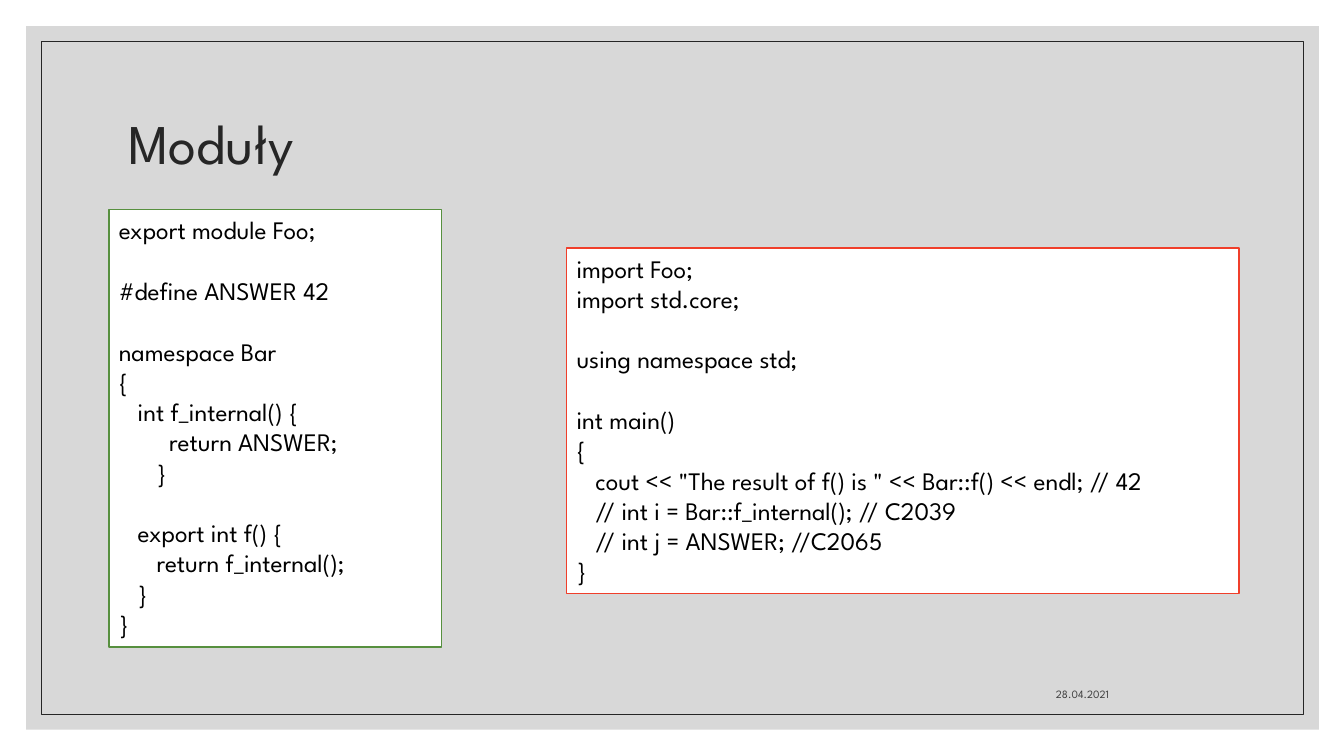
from dataclasses import dataclass

from lxml.etree import SubElement
from pptx import Presentation
from pptx.dml.color import RGBColor
from pptx.enum.shapes import MSO_SHAPE
from pptx.enum.text import MSO_ANCHOR, MSO_AUTO_SIZE, PP_ALIGN
from pptx.oxml.ns import qn
from pptx.shapes.autoshape import Shape
from pptx.slide import Slide
from pptx.text.text import _Paragraph as Paragraph
from pptx.util import Inches, Pt

FONT = "League Spartan"
COLORS = {
    "panel": "BFBFBF",
    "frame": "262626",
    "title": "262626",
    "date": "404040",
    "code": "000000",
    "code_fill": "FFFFFF",
    "module": "57903F",
    "main": "F03F2B",
}
TITLE_LAYOUT = 5
SPACE_WIDTH = 0.0625
BLANK_LINE = Pt(21.7)


@dataclass(frozen=True)
class Box:
    left: float
    top: float
    width: float
    height: float


@dataclass(frozen=True)
class CodeLine:
    text: str
    spaces: int = 0
    after_gap: bool = False


@dataclass(frozen=True)
class Listing:
    box: Box
    border: str
    lines: tuple[CodeLine, ...]


LISTINGS = (
    Listing(Box(1.08, 2.08, 3.3, 4.34), "module", (
        CodeLine("export module Foo;"),
        CodeLine("#define ANSWER 42", after_gap=True),
        CodeLine("namespace Bar", after_gap=True),
        CodeLine("{"),
        CodeLine("int f_internal() {", 3),
        CodeLine("return ANSWER;", 8),
        CodeLine("}", 6),
        CodeLine("export int f() {", 3, after_gap=True),
        CodeLine("return f_internal();", 6),
        CodeLine("}", 3),
        CodeLine("}"),
    )),
    Listing(Box(5.62, 2.46, 6.67, 3.43), "main", (
        CodeLine("import Foo;"),
        CodeLine("import std.core;"),
        CodeLine("using namespace std;", after_gap=True),
        CodeLine("int main()", after_gap=True),
        CodeLine("{"),
        CodeLine('cout << "The result of f() is " << Bar::f() << endl; // 42', 3),
        CodeLine("// int i = Bar::f_internal(); // C2039", 3),
        CodeLine("// int j = ANSWER; //C2065", 3),
        CodeLine("}"),
    )),
)


def color(name: str) -> RGBColor:
    return RGBColor.from_string(COLORS[name])


def lengths(box: Box) -> tuple[int, ...]:
    return tuple(Inches(n) for n in (box.left, box.top, box.width, box.height))


def format_paragraph(paragraph: Paragraph, size: int, color_name: str,
                     alignment: PP_ALIGN = PP_ALIGN.LEFT) -> None:
    paragraph.alignment = alignment
    paragraph.font.name = FONT
    paragraph.font.size = Pt(size)
    paragraph.font.color.rgb = color(color_name)


def add_rectangle(slide: Slide, box: Box, fill: str | None = None,
                  line: str | None = None, line_width: float = 1) -> Shape:
    shape = slide.shapes.add_shape(MSO_SHAPE.RECTANGLE, *lengths(box))
    shape.shadow.inherit = False
    if fill:
        shape.fill.solid()
        shape.fill.fore_color.rgb = color(fill)
    else:
        shape.fill.background()
    if line:
        shape.line.color.rgb = color(line)
        shape.line.width = Pt(line_width)
    else:
        shape.line.fill.background()
    return shape


def add_background(slide: Slide) -> None:
    panel = add_rectangle(slide, Box(0.26, 0.26, 12.82, 6.98), fill="panel")
    fill_color = panel.element.spPr.find(f"{qn('a:solidFill')}/{qn('a:srgbClr')}")
    SubElement(fill_color, qn("a:alpha"), val="60000")
    add_rectangle(slide, Box(0.41, 0.41, 12.52, 6.68), line="frame", line_width=0.5)


def place_title(slide: Slide, text: str) -> None:
    """Fill the title placeholder and bring it in front of the background."""
    title = slide.shapes.title
    title.left, title.top, title.width, title.height = lengths(Box(1.17, 0.7, 11, 1.5))
    title.element.getparent().append(title.element)
    frame = title.text_frame
    frame.text = text
    frame.auto_size = MSO_AUTO_SIZE.NONE
    frame.vertical_anchor = MSO_ANCHOR.MIDDLE
    frame.paragraphs[0].line_spacing = 0.9
    format_paragraph(frame.paragraphs[0], 40, "title")


def add_date(slide: Slide, text: str) -> None:
    frame = slide.shapes.add_textbox(*lengths(Box(7.94, 6.6, 3.16, 0.4))).text_frame
    frame.word_wrap = True
    frame.vertical_anchor = MSO_ANCHOR.BOTTOM
    frame.text = text
    format_paragraph(frame.paragraphs[0], 8, "date", PP_ALIGN.RIGHT)


def add_listing(slide: Slide, listing: Listing) -> None:
    shape = add_rectangle(slide, listing.box, "code_fill", listing.border)
    frame = shape.text_frame
    frame.word_wrap = True
    frame.auto_size = MSO_AUTO_SIZE.SHAPE_TO_FIT_TEXT
    frame.vertical_anchor = MSO_ANCHOR.TOP
    frame.text = "\n".join(line.text for line in listing.lines)
    for paragraph, line in zip(frame.paragraphs, listing.lines):
        format_paragraph(paragraph, 18, "code")
        if line.after_gap:
            paragraph.space_before = BLANK_LINE
        if line.spaces:
            properties = paragraph._p.get_or_add_pPr()
            properties.set("marL", str(Inches(line.spaces * SPACE_WIDTH)))
            properties.set("indent", "0")


def main() -> None:
    presentation = Presentation()
    presentation.slide_width = Inches(13.33)
    presentation.slide_height = Inches(7.5)
    slide = presentation.slides.add_slide(presentation.slide_layouts[TITLE_LAYOUT])
    add_background(slide)
    place_title(slide, "Moduły")
    add_date(slide, "28.04.2021")
    for listing in LISTINGS:
        add_listing(slide, listing)
    presentation.save("out.pptx")


if __name__ == "__main__":
    main()
